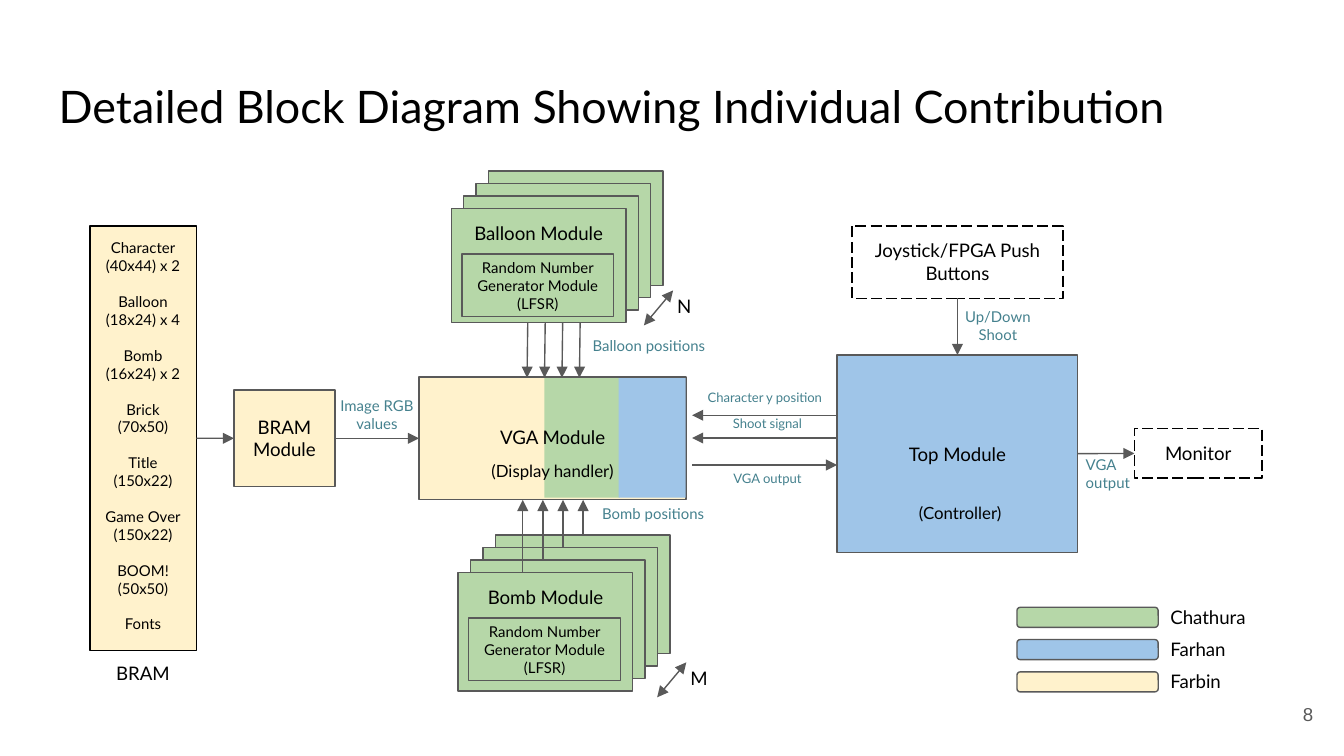
import pptx
import pptx.util
import pptx.dml.color
import pptx.enum.dml
import pptx.enum.shapes
import pptx.enum.text
import pptx.oxml
import pptx.oxml.ns

Cm = pptx.util.Cm
Pt = pptx.util.Pt
RGBColor = pptx.dml.color.RGBColor
MSO_SHAPE = pptx.enum.shapes.MSO_SHAPE
ANCHOR = pptx.enum.text.MSO_ANCHOR
ALIGN = pptx.enum.text.PP_ALIGN

BLACK = RGBColor(0x00, 0x00, 0x00)
WHITE = RGBColor(0xFF, 0xFF, 0xFF)
GRAY = RGBColor(0x59, 0x59, 0x59)
TEAL = RGBColor(0x45, 0x81, 0x8E)
GREEN = RGBColor(0xB6, 0xD7, 0xA8)
BLUE = RGBColor(0x9F, 0xC5, 0xE8)
CREAM = RGBColor(0xFF, 0xF2, 0xCC)

TOP, LEFT, BOTTOM, RIGHT = range(4)
LINE_WIDTH = Pt(0.75)

MEMORY_ITEMS = [
    ("Character", "(40x44) x 2"), ("Balloon", "(18x24) x 4"),
    ("Bomb", "(16x24) x 2"), ("Brick", "(70x50)"), ("Title", "(150x22)"),
    ("Game Over", "(150x22)"), ("BOOM!", "(50x50)"), ("Fonts",),
]


def write(sp, lines, size, color=BLACK, align=ALIGN.CENTER, anchor=ANCHOR.TOP, font="Lato"):
    tf = sp.text_frame
    tf.word_wrap = True
    tf.vertical_anchor = anchor
    tf.margin_left = tf.margin_right = tf.margin_top = tf.margin_bottom = Cm(0.25)
    tf.text = "\n".join(lines)
    for p in tf.paragraphs:
        p.alignment = align
        p.font.size = Pt(size)
        p.font.name = font
        p.font.color.rgb = color


def add_label(s, x, y, w, h, lines, size, **style):
    sp = s.shapes.add_textbox(Cm(x), Cm(y), Cm(w), Cm(h))
    write(sp, lines, size, **style)
    return sp


def add_block(s, x, y, w, h, fill, line=GRAY, dashed=False, kind=MSO_SHAPE.RECTANGLE):
    sp = s.shapes.add_shape(kind, Cm(x), Cm(y), Cm(w), Cm(h))
    sp.shadow.inherit = False
    sp.fill.solid()
    sp.fill.fore_color.rgb = fill
    if line is None:
        sp.line.fill.background()
        return sp
    sp.line.color.rgb = line
    sp.line.width = LINE_WIDTH
    if dashed:
        sp.line.dash_style = pptx.enum.dml.MSO_LINE.LONG_DASH
    return sp


def add_arrow(s, x1, y1, x2, y2, both_ends=False):
    line = s.shapes.add_connector(
        pptx.enum.shapes.MSO_CONNECTOR.STRAIGHT, Cm(x1), Cm(y1), Cm(x2), Cm(y2))
    line.line.color.rgb = GRAY
    line.line.width = LINE_WIDTH
    ln = line.line._get_or_add_ln()
    for tag in ("a:headEnd", "a:tailEnd") if both_ends else ("a:tailEnd",):
        ln.append(pptx.oxml.parse_xml(
            f'<{tag} {pptx.oxml.ns.nsdecls("a")} type="triangle"/>'))
    line._element.spPr.append(
        pptx.oxml.parse_xml(f'<a:effectLst {pptx.oxml.ns.nsdecls("a")}/>'))
    return line


def join(s, source, source_side, target, target_side):
    line = add_arrow(s, 0, 0, 1, 1)
    line.begin_connect(source, source_side)
    line.end_connect(target, target_side)


def add_module_stack(s, x, y, height, name):
    step = 0.235
    for i in reversed(range(4)):
        card = add_block(s, x + i * step, y - i * step, 3.3, height, GREEN)
    write(card, [name], 10)
    generator = add_block(s, x + 0.2, y + 0.86, 2.87, 1.19, GREEN)
    write(generator, ["Random Number Generator Module", "(LFSR)"], 8, anchor=ANCHOR.MIDDLE)


def add_count(s, x, y, letter):
    add_arrow(s, x, y, x + 0.55, y - 0.66, both_ends=True)
    add_label(s, x + 0.38, y - 0.79, 0.76, 0.94, [letter], 10)


def add_memory(s):
    memory = add_block(s, 1.7, 4.27, 2.01, 8.03, CREAM, BLACK)
    write(memory, [text for item in MEMORY_ITEMS for text in item], 8)
    for p in memory.text_frame.paragraphs[2::2]:
        p.space_before = Pt(9.6)
    add_label(s, 1.14, 12.29, 3.12, 0.94, ["BRAM"], 10)
    return memory


def add_display(s):
    display = add_block(s, 7.92, 7.13, 5.05, 2.31, CREAM)
    add_block(s, 10.29, 7.15, 1.42, 2.26, GREEN, None)
    add_block(s, 11.69, 7.15, 1.27, 2.26, BLUE, None)
    add_label(s, 7.92, 7.1, 5.05, 2.31, ["VGA Module"], 10, anchor=ANCHOR.MIDDLE)
    add_label(s, 7.9, 8.51, 5.08, 0.89, ["(Display handler)"], 9)
    return display


def add_signals(s):
    for x1, y, x2 in [(15.82, 7.85, 13.08), (15.82, 8.28, 13.08), (13.08, 8.79, 15.82)]:
        add_arrow(s, x1, y, x2, y)
    for x, y, w, text in [
        (13.06, 7.21, 2.79, "Character y position"),
        (13.44, 7.7, 2.13, "Shoot signal"),
        (13.36, 8.75, 2.29, "VGA output"),
    ]:
        add_label(s, x, y, w, 0.81, [text], 7, color=TEAL)
    for x, y, w, lines, align in [
        (10.95, 6.2, 3.12, ["Balloon positions"], ALIGN.LEFT),
        (11.13, 9.37, 3.12, ["Bomb positions"], ALIGN.LEFT),
        (5.92, 7.24, 2.41, ["Image RGB values"], ALIGN.CENTER),
        (17.96, 5.56, 1.8, ["Up/Down", "Shoot"], ALIGN.CENTER),
        (20.27, 8.36, 2.13, ["VGA", "output"], ALIGN.LEFT),
    ]:
        add_label(s, x, y, w, 0.86 if len(lines) == 1 else 1.19, lines, 8, color=TEAL, align=align)


def add_legend(s):
    for i, (name, color) in enumerate([("Chathura", GREEN), ("Farhan", BLUE), ("Farbin", CREAM)]):
        y = 11.48 + i * 0.61
        add_block(s, 19.22, y, 2.67, 0.38, color, kind=MSO_SHAPE.ROUNDED_RECTANGLE)
        add_label(s, 21.87, y - 0.25, 2.13, 0.94, [name], 10, align=ALIGN.LEFT)


def main():
    prs = pptx.Presentation()
    prs.slide_width, prs.slide_height = Cm(25.4), Cm(14.29)
    s = prs.slides.add_slide(prs.slide_layouts[6])

    add_label(s, 0.86, 1.24, 22.3, 1.6,
              ["Detailed Block Diagram Showing Individual Contribution"], 24, align=ALIGN.LEFT)
    add_label(s, 23.55, 12.95, 1.52, 1.09, ["8"], 10, color=GRAY,
              align=ALIGN.RIGHT, anchor=ANCHOR.MIDDLE, font="Arial")

    memory = add_memory(s)
    reader = add_block(s, 4.42, 7.37, 1.91, 1.83, CREAM)
    write(reader, ["BRAM Module"], 10, anchor=ANCHOR.MIDDLE)
    display = add_display(s)
    controller = add_block(s, 15.82, 6.71, 4.55, 3.73, BLUE)
    write(controller, ["Top Module"], 10, anchor=ANCHOR.MIDDLE)
    add_label(s, 16.81, 9.32, 2.67, 0.89, ["(Controller)"], 9)
    buttons = add_block(s, 16.1, 4.27, 3.99, 1.37, WHITE, BLACK, dashed=True)
    write(buttons, ["Joystick/FPGA Push Buttons"], 10)
    monitor = add_block(s, 21.44, 8.1, 2.41, 0.94, WHITE, BLACK, dashed=True)
    write(monitor, ["Monitor"], 10)

    for i in range(4):
        add_arrow(s, 9.98 + i * 0.33, 5.61, 9.96 + i * 0.33, 7.14)
    add_module_stack(s, 8.53, 3.94, 2.16, "Balloon Module")
    add_count(s, 12.17, 6.15, "N")
    add_module_stack(s, 8.66, 10.82, 2.24, "Bomb Module")
    add_count(s, 12.42, 13.18, "M")
    for i in range(4):
        x = 9.88 + i * 0.38
        add_arrow(s, x, 10.82 - i * 0.235, x, 9.45)

    join(s, memory, RIGHT, reader, LEFT)
    join(s, reader, RIGHT, display, LEFT)
    join(s, buttons, BOTTOM, controller, TOP)
    join(s, controller, RIGHT, monitor, LEFT)
    add_signals(s)
    add_legend(s)

    prs.save("out.pptx")


if __name__ == "__main__":
    main()
